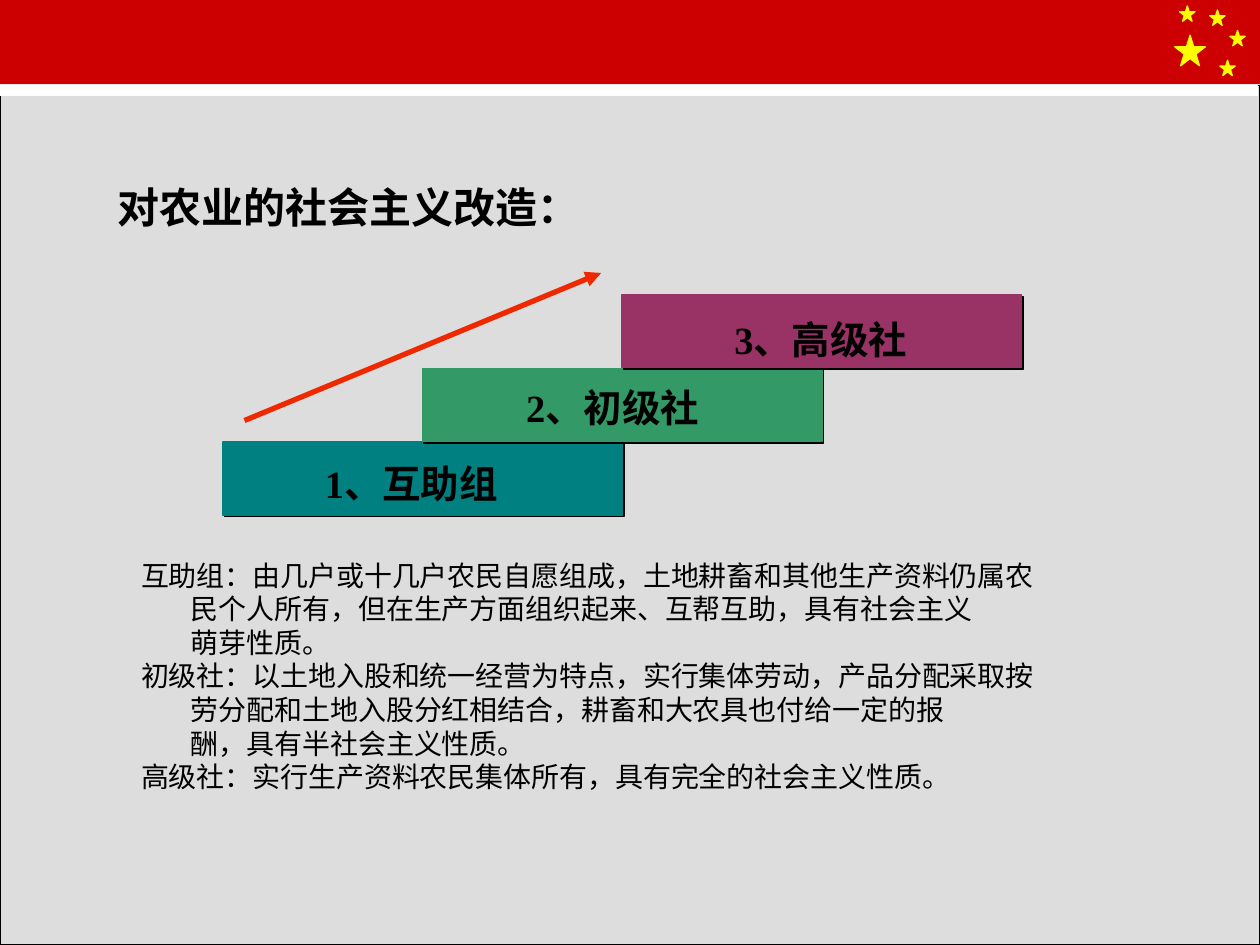
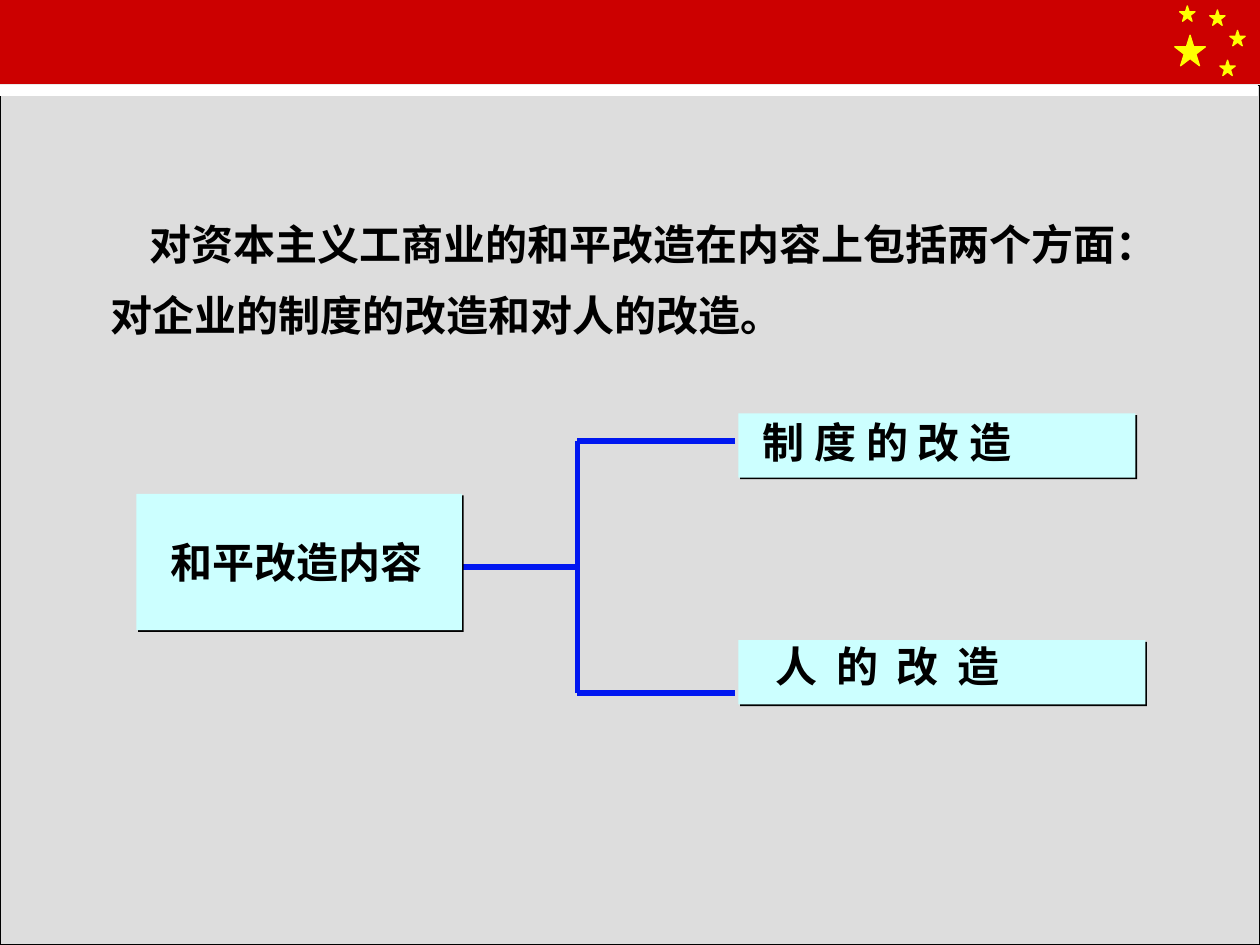
import pptx
import pptx.util
import pptx.dml.color
import pptx.enum.shapes
import pptx.enum.text
import pptx.oxml
import pptx.oxml.ns
import lxml.etree

Pt = pptx.util.Pt
SHAPE = pptx.enum.shapes.MSO_SHAPE
ANCHOR = pptx.enum.text.MSO_ANCHOR
ALIGN = pptx.enum.text.PP_ALIGN
qn = pptx.oxml.ns.qn

WIDTH, HEIGHT = 720, 540
SANS, SERIF = "Noto Sans CJK SC", "Times New Roman"
RED, YELLOW, WHITE, BLACK = "CC0000", "FFFF00", "FFFFFF", "000000"
PAGE, PANEL = "EAEAEA", "DDDDDD"
ARROW_RED, BRACKET_BLUE, PALE_CYAN = "F02800", "0017F0", "CCFFFF"
HEADING_SIZE, TIER_SIZE, DEFINITION_SIZE = 24, 22, 16

TIERS = [
    ("1、互助组", "008080", (-6.5, 2.5)),
    ("2、初级社", "339966", (-5.5, 1.5)),
    ("3、高级社", "993366", (-0.5, 4.5)),
]
DEFINITIONS = [
    "互助组：由几户或十几户农民自愿组成，土地耕畜和其他生产资料仍属农\v"
    "民个人所有，但在生产方面组织起来、互帮互助，具有社会主义\v萌芽性质。",
    "初级社：以土地入股和统一经营为特点，实行集体劳动，产品分配采取按\v"
    "劳分配和土地入股分红相结合，耕畜和大农具也付给一定的报\v酬，具有半社会主义性质。",
    "高级社：实行生产资料农民集体所有，具有完全的社会主义性质。",
]


def paint(color_format, hex_color):
    color_format.rgb = pptx.dml.color.RGBColor.from_string(hex_color)


def style_runs(paragraph, size, font=SANS, bold=True, tracking=0):
    for run in paragraph.runs:
        run.font.size = Pt(size)
        run.font.bold = bold
        run.font.name = font
        run.font.fill.solid()
        paint(run.font.fill.fore_color, BLACK)
        properties = run._r.get_or_add_rPr()
        lxml.etree.SubElement(properties, qn("a:ea")).set("typeface", SANS)
        if tracking:
            properties.set("spc", str(tracking))


def add_block(slide, preset, box, fill, line=None):
    block = slide.shapes.add_shape(preset, *map(Pt, box))
    block.shadow.inherit = False
    block.fill.solid()
    paint(block.fill.fore_color, fill)
    if line:
        block.line.width = Pt(0.75)
        paint(block.line.color, line)
    else:
        block.line.fill.background()
    return block


def add_card(slide, box, fill, line=None):
    card = add_block(slide, SHAPE.RECTANGLE, box, fill, line)
    effects = card._element.spPr.find(qn("a:effectLst"))
    shadow = lxml.etree.SubElement(effects, qn("a:outerShdw"), dist=str(Pt(1.4)), dir="2700000", algn="ctr")
    lxml.etree.SubElement(shadow, qn("a:srgbClr"), val=BLACK)
    return card


def label_card(card, text, margins, align, size=HEADING_SIZE, font=SANS, tracking=0):
    frame = card.text_frame
    frame.text = text
    frame.word_wrap = True
    frame.vertical_anchor = ANCHOR.MIDDLE
    frame.margin_left, frame.margin_top, frame.margin_right, frame.margin_bottom = map(Pt, margins)
    frame.paragraphs[0].alignment = align
    style_runs(frame.paragraphs[0], size, font, tracking=tracking)


def add_line(slide, start, end, color, arrow=False):
    line = slide.shapes.add_connector(
        pptx.enum.shapes.MSO_CONNECTOR.STRAIGHT, *map(Pt, (*start, *end)))
    line.line.width = Pt(3)
    paint(line.line.color, color)
    if arrow:
        lxml.etree.SubElement(line.line._get_or_add_ln(), qn("a:tailEnd"), type="triangle")
    lxml.etree.SubElement(line._element.spPr, qn("a:effectLst"))


def fill_placeholder(holder, box, paragraphs):
    holder.left, holder.top, holder.width, holder.height = map(Pt, box)
    frame = holder.text_frame
    frame.text = "\n".join(paragraphs)
    frame.word_wrap = True
    frame.auto_size = pptx.enum.text.MSO_AUTO_SIZE.NONE
    frame.vertical_anchor = ANCHOR.TOP
    for paragraph in frame.paragraphs:
        paragraph.alignment = ALIGN.LEFT
        paragraph.space_before = Pt(0)
    return frame.paragraphs


def add_heading(slide, box, text, line_spacing=None, indent=0):
    paragraph = fill_placeholder(slide.shapes.title, box, [text])[0]
    if line_spacing:
        paragraph.line_spacing = Pt(line_spacing)
    paragraph._p.get_or_add_pPr().set("indent", str(Pt(indent)))
    style_runs(paragraph, HEADING_SIZE)


def add_definitions(slide, box):
    hanging = Pt(28.5)
    for paragraph in fill_placeholder(slide.placeholders[1], box, DEFINITIONS):
        paragraph.line_spacing = Pt(19.2)
        properties = paragraph._p.get_or_add_pPr()
        properties.set("marL", str(hanging))
        properties.set("indent", str(-hanging))
        lxml.etree.SubElement(properties, qn("a:buNone"))
        style_runs(paragraph, DEFINITION_SIZE, bold=False)


def add_flag_stars(slide, left, top):
    stars = [(0, 16.7, 17.5), (20, 2.3, 8.8), (2.8, 0, 8.8), (31.5, 14, 8.8), (25.8, 31, 8.8)]
    return [add_block(slide, SHAPE.STAR_5_POINT, (left + x, top + y, size, size), YELLOW, YELLOW)
            for x, y, size in stars]


def decorate_master(presentation, slide):
    master = presentation.slide_master
    master.background.fill.solid()
    paint(master.background.fill.fore_color, PAGE)
    band_height, panel_top = 48, 49
    decorations = [
        add_block(slide, SHAPE.RECTANGLE, (0, 0, WIDTH, band_height), RED),
        *add_flag_stars(slide, 671.3, 3.4),
        add_block(slide, SHAPE.RECTANGLE, (0, panel_top, WIDTH, HEIGHT - panel_top), PANEL, BLACK),
        add_block(slide, SHAPE.RECTANGLE, (0, panel_top, 718.5, 5.6), WHITE, WHITE),
    ]
    first_holder = master.shapes[0]._element
    for number, decoration in enumerate(decorations, 101):
        decoration._element.nvSpPr.cNvPr.set("id", str(number))
        first_holder.addprevious(decoration._element)


def add_staircase(slide, left, top):
    step_x, step_y, width, height = 114, 42.1, 228.3, 41.8
    base = top + 68.3 + 0.2
    base += step_y
    for number, (name, color, (shift_x, shift_y)) in enumerate(TIERS):
        box = (left + 126.9 - 114 + number * step_x - 0.5, base - number * step_y, width, height)
        card = add_card(slide, box, color, color)
        label_card(card, name, (0, 2 * shift_y, -2 * shift_x, 0), ALIGN.CENTER, TIER_SIZE, SERIF)
    add_line(slide, (left + 24.7, top + 98.3), (left + 228.5, top + 14), ARROW_RED, arrow=True)


def add_content_tree(slide, left, top):
    spine_x, middle_y = left + 252, top + 87.8
    add_line(slide, (left + 186, middle_y), (spine_x, middle_y), BRACKET_BLUE)
    for arm_y in (middle_y - 72, middle_y + 72):
        add_line(slide, (spine_x, arm_y), (spine_x, middle_y), BRACKET_BLUE)
        add_line(slide, (spine_x, arm_y), (left + 342, arm_y), BRACKET_BLUE)
    root = add_card(slide, (left, top + 46, 186, 78), PALE_CYAN)
    label_card(root, "和平改造内容", (19.2, 0, 0, 0), ALIGN.LEFT)
    branches = [
        ("制 度 的 改 造", 0, 226.8, (14, 0, 0, 4), 0),
        ("人 的 改 造", 129.6, 232.5, (21, 0, 0, 8), 270),
    ]
    for name, offset, width, margins, tracking in branches:
        branch = add_card(slide, (left + 344, top + offset, width, 36.7), PALE_CYAN)
        label_card(branch, name, margins, ALIGN.LEFT, tracking=tracking)


def build_agriculture(slide):
    add_heading(slide, (59.8, 100, 340.5, 36), "对农业的社会主义改造：")
    add_definitions(slide, (73.4, 315.4, 584.6, 141.8))
    add_staircase(slide, 115, 142)


def build_industry(slide):
    add_heading(slide, (56.2, 109.5, 607, 88.5),
                "对资本主义工商业的和平改造在内容上包括两个方面：对企业的制度的改造和对人的改造。",
                line_spacing=40.5, indent=22)
    add_content_tree(slide, 78, 236.2)


def main():
    presentation = pptx.Presentation()
    presentation.slide_width, presentation.slide_height = Pt(WIDTH), Pt(HEIGHT)
    layouts = presentation.slide_layouts
    agriculture = presentation.slides.add_slide(layouts[1])
    decorate_master(presentation, agriculture)
    build_agriculture(agriculture)
    build_industry(presentation.slides.add_slide(layouts[5]))
    presentation.save("out.pptx")


if __name__ == "__main__":
    main()
